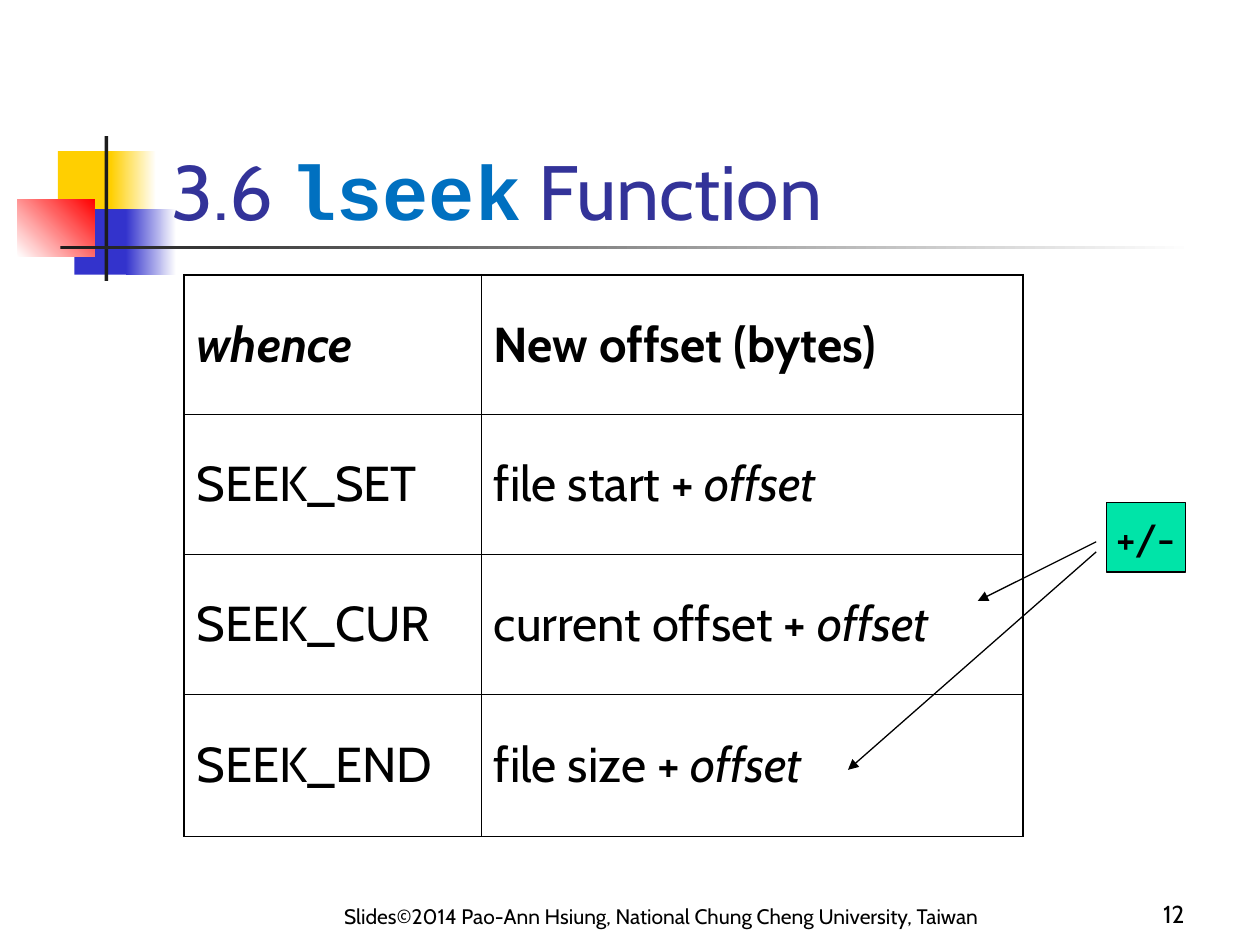
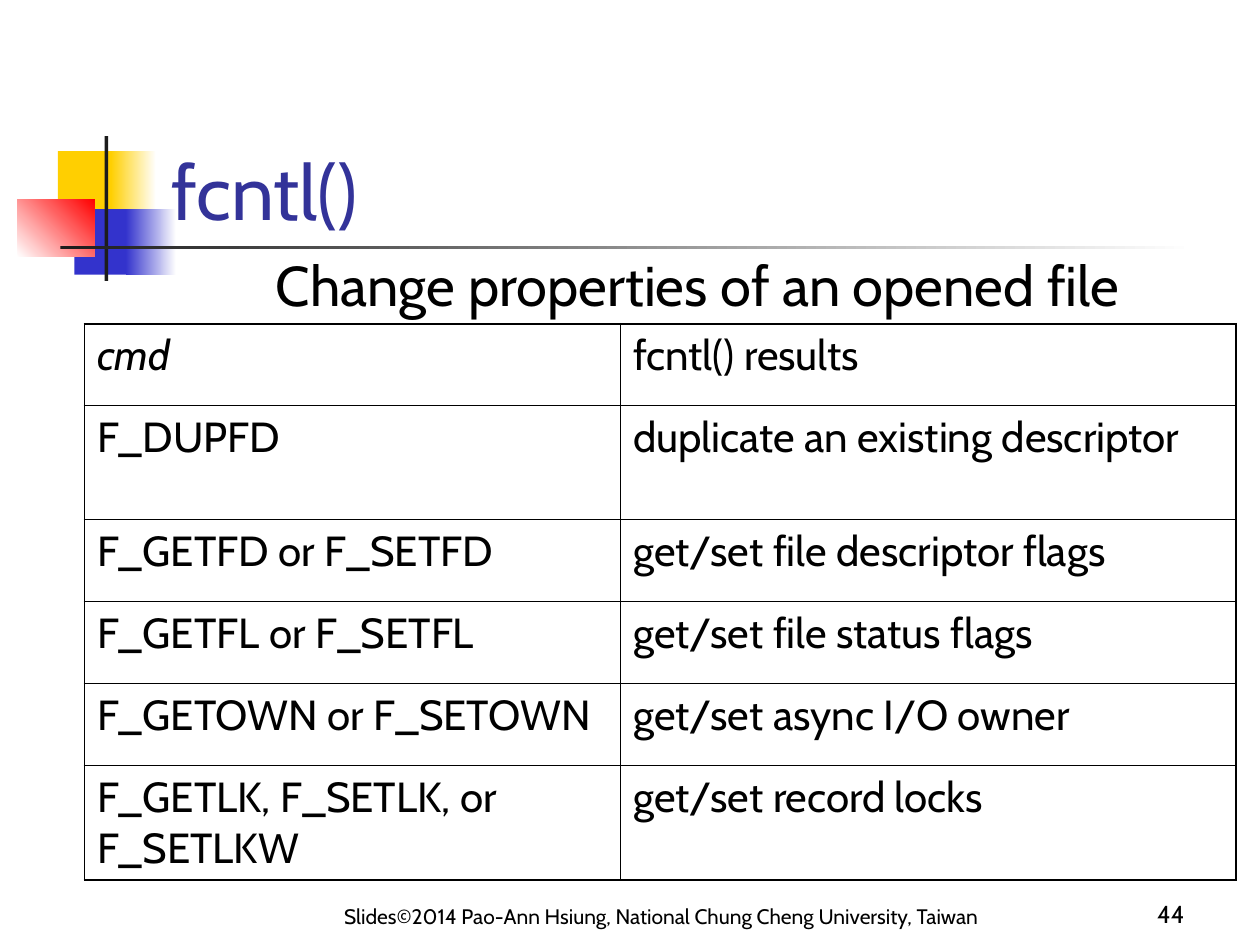
from lxml.etree import SubElement
from pptx import Presentation
from pptx.dml.color import RGBColor
from pptx.enum.shapes import MSO_CONNECTOR, MSO_SHAPE
from pptx.enum.text import MSO_ANCHOR, MSO_AUTO_SIZE, PP_ALIGN
from pptx.oxml.ns import qn
from pptx.util import Inches, Pt

HUES = {
    "paper": "FFFFFF", "ink": "000000", "title": "333399", "code": "0070C0",
    "gold": "FFCF01", "blue": "3333CC", "red": "FF0000", "dark": "1C1C1C",
    "mint": "00E4A8",
}
FONT, MONO = "Cabin", "Courier New"
WIDE, HIGH = Inches(10), Inches(7.5)
COLS, ROWS = 100, 75  # slide grid
THICK, THIN = 1.08, 0.45  # table rules

# Boxes are left, top, width, height in grid cells
BADGE = (1.4, 10.8, 93.4, 11.5)
TITLE = (12.6, 6.7, 85.2, 12.5)
LEAD = (12.9, 19.4, 85, 9.4)
FOOT = (17.7, 69.2, 77.3, 5)

CREDIT = "Slides©2014 Pao-Ann Hsiung, National Chung Cheng University, Taiwan"


def hue(name):
    return RGBColor.from_string(HUES[name])


def across(cells):
    return round(WIDE * cells / COLS)


def down(cells):
    return round(HIGH * cells / ROWS)


def place(box):
    left, top, width, height = box
    return across(left), down(top), across(width), down(height)


def within(box, part):
    """Shift a part's offset by its box's corner."""
    return (box[0] + part[0], box[1] + part[1], *part[2:])


def write(frame, runs, size, color="ink", align=PP_ALIGN.LEFT):
    """Fill a frame with runs: plain strings or (text, marks) pairs."""
    para = frame.paragraphs[0]
    para.alignment = align
    para.space_before = Pt(0)
    for item in runs:
        text, marks = (item, "") if isinstance(item, str) else item
        run = para.add_run()
        run.text = text
        font = run.font
        font.size = Pt(size)
        font.bold = "b" in marks
        font.italic = "i" in marks
        font.name = MONO if "m" in marks else FONT
        font.color.rgb = hue("code" if "m" in marks else color)


def block(slide, box, color, fade=None, angle=0):
    """Add a plain or fading rectangle without outline."""
    shape = slide.shapes.add_shape(MSO_SHAPE.RECTANGLE, *place(box))
    shape.shadow.inherit = False
    shape.line.fill.background()
    if fade:
        shape.fill.gradient()
        shape.fill.gradient_angle = angle
        for stop, name in zip(shape.fill.gradient_stops, (color, fade)):
            stop.color.rgb = hue(name)
    else:
        shape.fill.solid()
        shape.fill.fore_color.rgb = hue(color)
    return shape


def badge(slide, box):
    """Coloured squares with the crossing rules."""
    for part, *paint in (
        ((3.2, 1.2, 4.8, 5.2), "gold"),
        ((7.4, 1.2, 3.6, 5.2), "gold", "paper"),
        ((4.5, 5.8, 4.6, 5.2), "blue"),
        ((8.6, 5.8, 4, 5.2), "blue", "paper"),
        ((0, 5, 6.1, 4.6), "paper", "red", 45),
        ((6.9, 0, 0.3, 11.5), "dark"),
        ((3.4, 8.7, 90, 0.3), "dark", "paper"),
    ):
        block(slide, within(box, part), *paint)


def footer(slide, box, number):
    """Credit line and slide number."""
    for part, text, size, align in (
        ((0, 0, 69.6, box[3]), CREDIT, 12, PP_ALIGN.CENTER),
        ((box[2] - 20.8, 0, 20.8, box[3]), str(number), 14, PP_ALIGN.RIGHT),
    ):
        frame = slide.shapes.add_textbox(*place(within(box, part))).text_frame
        frame.word_wrap = True
        frame.vertical_anchor = MSO_ANCHOR.BOTTOM
        write(frame, [text], size, align=align)


def holder(shape, box, runs, size, color, anchor, align):
    """Move and fill a placeholder, and bring it to the front."""
    shape.element.getparent().append(shape.element)
    shape.left, shape.top, shape.width, shape.height = place(box)
    frame = shape.text_frame
    frame.auto_size = MSO_AUTO_SIZE.NONE
    frame.vertical_anchor = anchor
    write(frame, runs, size, color, align)


def page(deck, layout, number, title):
    """Start a slide with everything the slides share."""
    slide = deck.slides.add_slide(deck.slide_layouts[layout])
    slide.background.fill.solid()
    slide.background.fill.fore_color.rgb = hue("paper")
    badge(slide, BADGE)
    footer(slide, FOOT, number)
    holder(slide.shapes.title, TITLE, title, 44, "title",
           MSO_ANCHOR.BOTTOM, PP_ALIGN.LEFT)
    return slide


def edge(cell, side, width):
    """Draw one border of a cell."""
    line = SubElement(cell._tc.get_or_add_tcPr(), qn(f"a:ln{side}"),
                      w=str(Pt(width)))
    fill = SubElement(line, qn("a:solidFill"))
    SubElement(fill, qn("a:srgbClr"), val=HUES["ink"])


def grid(slide, box, widths, heights, lines, size, anchor):
    """Table with thick outer and thin inner rules."""
    table = slide.shapes.add_table(len(heights), len(widths),
                                   *place(box)).table
    table.first_row = table.horz_banding = False
    for col, width in zip(table.columns, widths):
        col.width = across(width)
    for row, height in zip(table.rows, heights):
        row.height = down(height)
    end, last = len(widths) - 1, len(heights) - 1
    for y, line in enumerate(lines):
        for x, runs in enumerate(line):
            cell = table.cell(y, x)
            for side, outer in (("L", x == 0), ("R", x == end),
                                ("T", y == 0), ("B", y == last)):
                edge(cell, side, THICK if outer else THIN)
            cell.fill.background()
            cell.vertical_anchor = anchor
            write(cell.text_frame, runs, size)


def arrow(slide, start, end):
    line = slide.shapes.add_connector(
        MSO_CONNECTOR.STRAIGHT, across(start[0]), down(start[1]),
        across(end[0]), down(end[1]))
    line.line.color.rgb = hue("ink")
    line.line.width = Pt(0.75)
    props = line.element.spPr
    SubElement(props.find(qn("a:ln")), qn("a:tailEnd"), type="triangle")
    SubElement(props, qn("a:effectLst"))


def sign(slide, box):
    """Sign label with arrows to the rows it holds for."""
    left, top = box[:2]
    for drop, end in ((3.1, (-10.2, 7.8)), (3.9, (-20.5, 21.2))):
        arrow(slide, (left - 0.8, top + drop), (left + end[0], top + end[1]))
    label = block(slide, box, "mint")
    label.line.color.rgb = hue("ink")
    label.line.width = Pt(0.75)
    label.text_frame.word_wrap = False
    label.text_frame.vertical_anchor = MSO_ANCHOR.MIDDLE
    write(label.text_frame, ["+/-"], 24, align=PP_ALIGN.CENTER)


def seek(deck):
    slide = page(deck, 5, 12, ["3.6 ", ("lseek", "bm"), " Function"])
    lines = [[[("whence", "bi")], [("New offset (bytes)", "b")]]]
    for name, base in (("SET", "file start"), ("CUR", "current offset"),
                       ("END", "file size")):
        lines.append([[f"SEEK_{name}"], [f"{base} + ", ("offset", "i")]])
    grid(slide, (14.6, 21.8, 66.6, 44.6), (23.6, 43), [11.1] * 3 + [11.3],
         lines, 28, MSO_ANCHOR.MIDDLE)
    sign(slide, (87.8, 39.9, 6.3, 5.5))


def control(deck):
    slide = page(deck, 1, 44, ["fcntl()"])
    body = slide.placeholders[1]
    props = body.text_frame.paragraphs[0]._p.get_or_add_pPr()
    props.set("marL", str(Inches(0.38)))
    props.set("indent", str(Inches(-0.38)))
    SubElement(props, qn("a:buNone"))
    holder(body, LEAD, ["Change properties of an opened file"], 32, "ink",
           MSO_ANCHOR.TOP, PP_ALIGN.CENTER)
    pairs = (
        (("cmd", "i"), "fcntl() results"),
        ("F_DUPFD", "duplicate an existing descriptor"),
        ("F_GETFD or F_SETFD", "get/set file descriptor flags"),
        ("F_GETFL or F_SETFL", "get/set file status flags"),
        ("F_GETOWN or F_SETOWN", "get/set async I/O owner"),
        ("F_GETLK, F_SETLK, or F_SETLKW", "get/set record locks"),
    )
    lines = [[[left], [right]] for left, right in pairs]
    low, tall = 6.5, 9.05
    grid(slide, (6.7, 25.7, 91.4, 44.1), (42.55, 48.85),
         (low, tall, low, low, low, tall), lines, 24, MSO_ANCHOR.TOP)


def main():
    deck = Presentation()
    deck.slide_width, deck.slide_height = WIDE, HIGH
    seek(deck)
    control(deck)
    deck.save("out.pptx")


if __name__ == "__main__":
    main()
